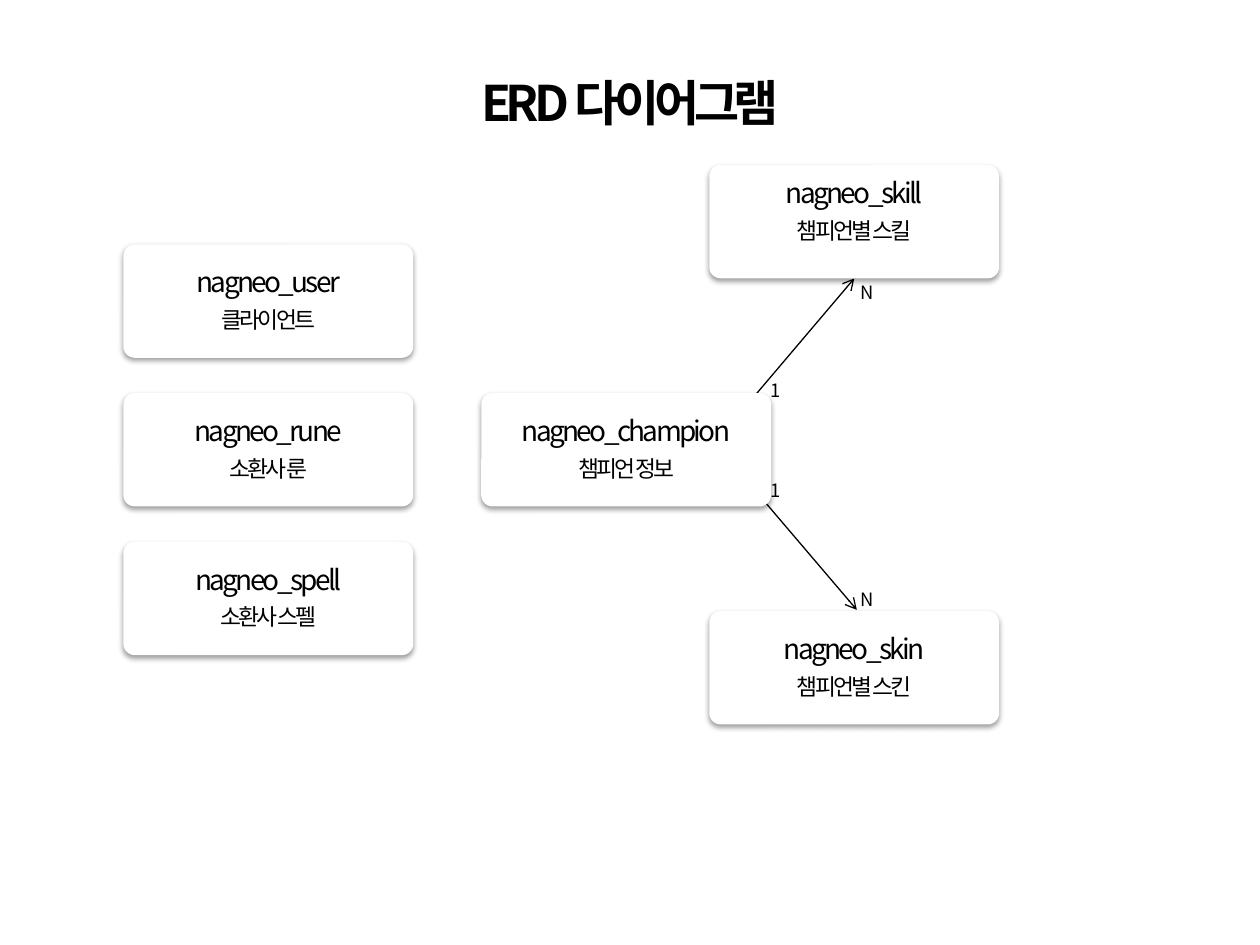
from dataclasses import dataclass

from lxml import etree
from pptx import Presentation
from pptx import util as u
from pptx.dml.color import RGBColor
from pptx.enum import shapes as sh, text as tx
from pptx.oxml import parse_xml
from pptx.oxml.ns import nsdecls, qn


@dataclass(frozen=True)
class Theme:
    """Colours, font and type sizes of the slide."""
    ink: RGBColor = RGBColor(0, 0, 0)
    card: RGBColor = RGBColor(255, 255, 255)
    font: str = "Noto Sans CJK KR"
    title: float = 28
    table: float = 16
    caption: float = 13
    cardinality: float = 10.5


THEME = Theme()
CARD_W, CARD_H, CARD_PAD = 2.3, 0.9, 0.03
LEFT_X, LEFT_Y, LEFT_STEP = 0.98, 1.94, 1.18
HUB_X, RIGHT_X = 3.82, 5.63

SHADOW = (
    f'<a:effectLst {nsdecls("a")}><a:outerShdw blurRad="39400" dist="20300" '
    'dir="5400000" rotWithShape="0"><a:srgbClr val="000000">'
    '<a:alpha val="38000"/></a:srgbClr></a:outerShdw></a:effectLst>'
)


def style(paragraph, size, bold=False, spacing=0):
    """Format every run of a paragraph; spacing is in points."""
    for run in paragraph.runs:
        run.font.size = u.Pt(size)
        run.font.bold = bold
        run.font.color.rgb = THEME.ink
        run.font.name = THEME.font
        props = run.font._element
        etree.SubElement(props, qn("a:ea")).set("typeface", THEME.font)
        if spacing:
            props.set("spc", str(round(spacing * 100)))


def space_after(paragraph, percent):
    """Set the space after a paragraph as a share of its line."""
    after = etree.SubElement(paragraph._p.get_or_add_pPr(), qn("a:spcAft"))
    etree.SubElement(after, qn("a:spcPct")).set("val", str(percent * 1000))


def add_title(slide, left, top, width, height, words):
    """Place the centred heading in its box."""
    box = slide.shapes.add_textbox(*map(u.Inches, (left, top, width, height)))
    frame = box.text_frame
    frame.word_wrap = True
    frame.vertical_anchor = tx.MSO_ANCHOR.MIDDLE
    frame.text = words
    heading = frame.paragraphs[0]
    heading.alignment = tx.PP_ALIGN.CENTER
    style(heading, THEME.title, bold=True, spacing=-3)


def add_entity(slide, left, top, table, caption, lift=0):
    """Place a shadowed card holding a table name and its caption."""
    group = slide.shapes.add_group_shape()
    card = group.shapes.add_shape(
        sh.MSO_SHAPE.ROUNDED_RECTANGLE,
        *map(u.Inches, (left, top, CARD_W, CARD_H)))
    card.adjustments[0] = 0.1
    card.fill.solid()
    card.fill.fore_color.rgb = THEME.card
    card.line.fill.background()
    card._element.spPr.append(parse_xml(SHADOW))

    label = group.shapes.add_textbox(*map(u.Inches, (
        left + CARD_PAD, top + CARD_PAD - lift,
        CARD_W - 2 * CARD_PAD, CARD_H - 2 * CARD_PAD)))
    frame = label.text_frame
    frame.word_wrap = True
    frame.vertical_anchor = tx.MSO_ANCHOR.MIDDLE
    frame.margin_left = frame.margin_right = u.Inches(0.07)
    frame.margin_top = frame.margin_bottom = u.Inches(0.07)
    frame.text = f"{table}\n{caption}"
    for paragraph, size in zip(frame.paragraphs, (THEME.table, THEME.caption)):
        paragraph.alignment = tx.PP_ALIGN.CENTER
        paragraph.line_spacing = 0.9
        space_after(paragraph, 35)
        style(paragraph, size, spacing=-1.5)


def add_relation(slide, start, end):
    """Draw an arrow from one entity to another."""
    arrow = slide.shapes.add_connector(
        sh.MSO_CONNECTOR.STRAIGHT, *map(u.Inches, (*start, *end)))
    arrow.line.color.rgb = THEME.ink
    arrow.line.width = u.Pt(0.75)
    etree.SubElement(arrow.line._get_or_add_ln(), qn("a:tailEnd")).set("type", "arrow")
    etree.SubElement(arrow._element.spPr, qn("a:effectLst"))


def add_cardinality(slide, left, top, width, mark):
    """Place the mark at one end of a relation."""
    box = slide.shapes.add_textbox(*map(u.Inches, (left, top, width, 0.28)))
    frame = box.text_frame
    frame.word_wrap = False
    frame.auto_size = tx.MSO_AUTO_SIZE.SHAPE_TO_FIT_TEXT
    frame.text = mark
    style(frame.paragraphs[0], THEME.cardinality)


def build_erd(slide):
    """Lay out the entities, relations and heading of the diagram."""
    add_relation(slide, (5.94, 3.83), (6.8, 4.84))
    add_relation(slide, (5.94, 3.2), (6.78, 2.21))

    add_entity(slide, HUB_X, LEFT_Y + LEFT_STEP, "nagneo_champion", "챔피언 정보")
    add_entity(slide, RIGHT_X, 1.31, "nagneo_skill", "챔피언별 스킬", lift=0.08)
    add_entity(slide, RIGHT_X, 4.85, "nagneo_skin", "챔피언별 스킨")
    standalone = (("nagneo_user", "클라이언트"),
                  ("nagneo_rune", "소환사 룬"),
                  ("nagneo_spell", "소환사 스펠"))
    for row, (table, caption) in enumerate(standalone):
        add_entity(slide, LEFT_X, LEFT_Y + row * LEFT_STEP, table, caption)

    for top in (4.62, 2.18):
        add_cardinality(slide, 6.73, top, 0.31, "N")
    for top in (2.96, 3.75):
        add_cardinality(slide, 6.02, top, 0.28, "1")
    add_title(slide, 0.75, 0, 8.5, 1.61, "ERD 다이어그램")


deck = Presentation()
deck.slide_width, deck.slide_height = u.Inches(10), u.Inches(7.5)
build_erd(deck.slides.add_slide(deck.slide_layouts[6]))
deck.save("out.pptx")
